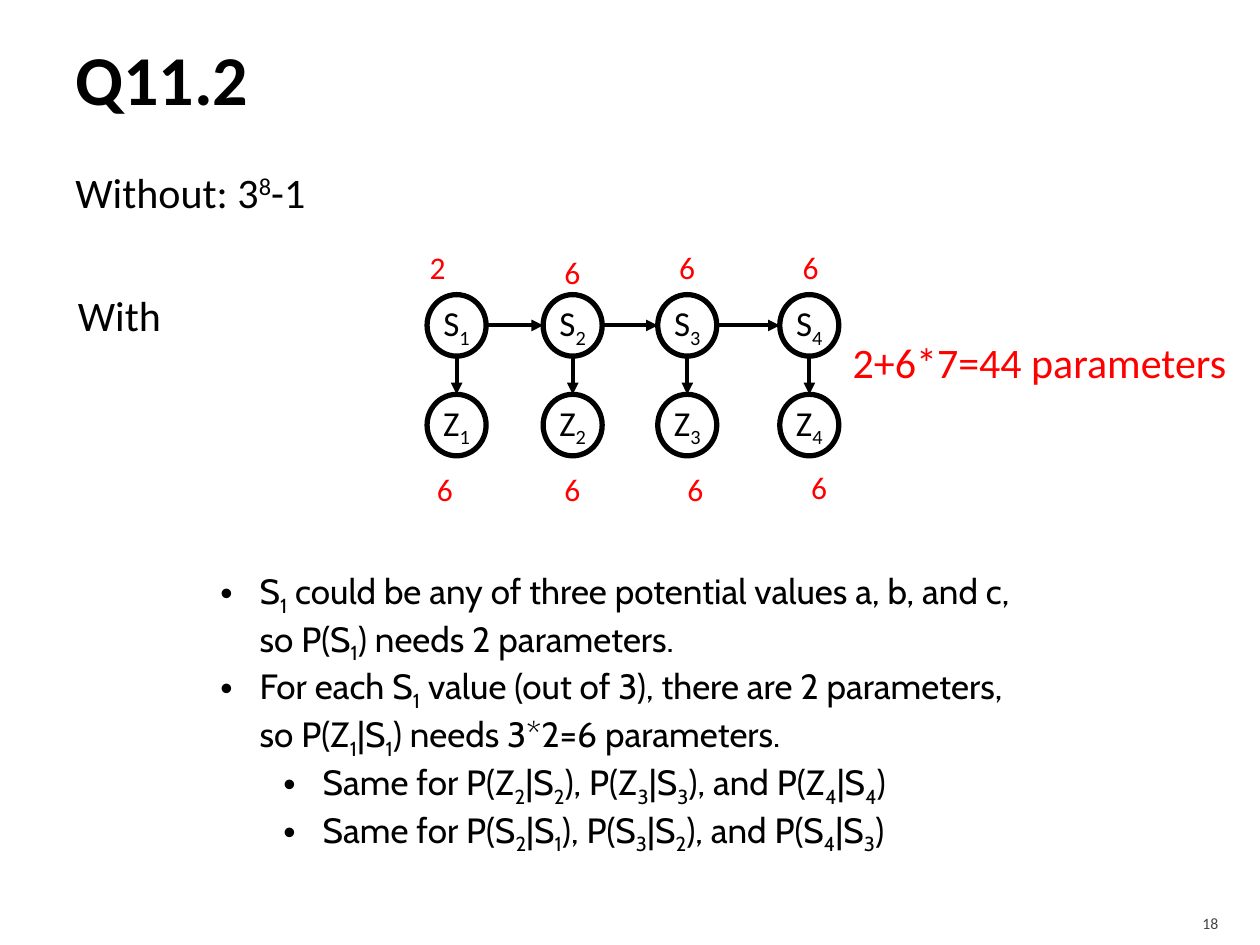
from dataclasses import dataclass
from typing import Iterator

from lxml import etree
from pptx import Presentation
from pptx import util as u
from pptx.dml.color import RGBColor
from pptx.enum import shapes, text
from pptx.oxml.ns import qn

Cm = u.Cm


@dataclass(frozen=True)
class Theme:
    ink: str = "000000"
    accent: str = "FF0000"
    muted: str = "454545"
    font: str = "Calibri"
    list_font: str = "Cabin"
    title: int = 40
    text: int = 24
    node: int = 20
    count: int = 18
    footer: int = 9
    ring: float = 3
    arrow: float = 2.25


@dataclass(frozen=True)
class Node:
    name: str
    x: float
    y: float
    count: str
    count_x: float
    count_y: float


T = Theme()
NODE_W, NODE_H = 1.19, 1.24
COLUMNS = (8.61, 10.95, 13.26, 15.72)
STATE_Y, OBSERVED_Y = 5.94, 7.95
STATE_COUNTS = (("2", 8.41, 4.88), ("6", 11.13, 4.98), ("6", 13.44, 4.88), ("6", 15.93, 4.88))
OBSERVED_COUNTS = (("6", 8.56, 9.35), ("6", 11.13, 9.35), ("6", 13.61, 9.35), ("6", 16.1, 9.32))
BULLETS = (
    (0, "S_1 could be any of three potential values a, b, and c, so P(S_1) needs 2 parameters."),
    (0, "For each S_1 value (out of 3), there are 2 parameters, "
        "so P(Z_1|S_1) needs 3*2=6 parameters."),
    (1, "Same for P(Z_2|S_2), P(Z_3|S_3), and P(Z_4|S_4)"),
    (1, "Same for P(S_2|S_1), P(S_3|S_2), and P(S_4|S_3)"),
)


def split_scripts(value: str) -> Iterator[tuple[str, int]]:
    """Yield (text, baseline); "_" lowers and "^" raises the next character."""
    shifts = {"_": -25000, "^": 30000}
    plain, chars = "", iter(value)
    for char in chars:
        if char in shifts:
            yield plain, 0
            yield next(chars), shifts[char]
            plain = ""
        else:
            plain += char
    if plain:
        yield plain, 0


def write(p, value: str, *, size: float, color: str = T.ink, font: str = T.font,
          bold: bool = False, align=text.PP_ALIGN.LEFT) -> None:
    p.alignment = align
    for part, baseline in split_scripts(value):
        r = p.add_run()
        r.text = part
        r.font.size, r.font.name, r.font.bold = u.Pt(size), font, bold
        r.font.color.rgb = RGBColor.from_string(color)
        if baseline:
            r.font._element.set("baseline", str(baseline))


def add_label(s, value: str, x: float, y: float, w: float, h: float, **fmt) -> None:
    tf = s.shapes.add_textbox(Cm(x), Cm(y), Cm(w), Cm(h)).text_frame
    tf.word_wrap = False
    write(tf.paragraphs[0], value, **fmt)


def add_node(s, node: Node) -> None:
    sp = s.shapes.add_shape(shapes.MSO_SHAPE.OVAL, Cm(node.x), Cm(node.y), Cm(NODE_W), Cm(NODE_H))
    sp.shadow.inherit = False
    sp.fill.background()
    sp.line.color.rgb = RGBColor.from_string(T.ink)
    sp.line.width = u.Pt(T.ring)
    tf = sp.text_frame
    tf.margin_left = tf.margin_right = tf.margin_top = tf.margin_bottom = 0
    tf.vertical_anchor = text.MSO_ANCHOR.MIDDLE
    tf.word_wrap = False
    write(tf.paragraphs[0], node.name, size=T.node, align=text.PP_ALIGN.CENTER)
    add_label(s, node.count, node.count_x, node.count_y, 0.84, 1.02, size=T.count, color=T.accent)


def add_arrow(s, x1: float, y1: float, x2: float, y2: float) -> None:
    c = s.shapes.add_connector(shapes.MSO_CONNECTOR.STRAIGHT, Cm(x1), Cm(y1), Cm(x2), Cm(y2))
    c.line.color.rgb = RGBColor.from_string(T.ink)
    c.line.width = u.Pt(T.arrow)
    etree.SubElement(c.line._get_or_add_ln(), qn("a:tailEnd"), type="triangle")
    etree.SubElement(c._element.spPr, qn("a:effectLst"))


def add_bullet(p, level: int, value: str) -> None:
    p.level = level
    pPr = p._p.get_or_add_pPr()
    pPr.set("marL", str(Cm(0.79 + 1.27 * level)))
    pPr.set("indent", str(-Cm(0.79)))
    etree.SubElement(pPr, qn("a:buFont"), typeface="Arial")
    etree.SubElement(pPr, qn("a:buChar"), char="•")
    p.space_before = u.Pt(0)
    write(p, value, size=T.node, font=T.list_font)


def place(sp, x: float, y: float, w: float, h: float) -> None:
    sp.left, sp.top, sp.width, sp.height = Cm(x), Cm(y), Cm(w), Cm(h)


def add_network(s) -> None:
    states = [Node(f"S_{i}", x, STATE_Y, *count)
              for i, (x, count) in enumerate(zip(COLUMNS, STATE_COUNTS), 1)]
    observed = [Node(f"Z_{i}", x, OBSERVED_Y, *count)
                for i, (x, count) in enumerate(zip(COLUMNS, OBSERVED_COUNTS), 1)]
    for node in states + observed:
        add_node(s, node)
    middle = STATE_Y + NODE_H / 2
    for a, b in zip(states, states[1:]):
        add_arrow(s, a.x + NODE_W, middle, b.x, middle)
    for a, b in zip(states, observed):
        center = a.x + NODE_W / 2
        add_arrow(s, center, a.y + NODE_H, center, b.y)


def main() -> None:
    prs = Presentation()
    prs.slide_width, prs.slide_height = Cm(25.4), Cm(19.05)
    s = prs.slides.add_slide(prs.slide_layouts[1])

    title, body = s.placeholders
    place(title, 1.27, 0.2, 22.86, 2.74)
    title.text_frame.vertical_anchor = text.MSO_ANCHOR.MIDDLE
    write(title.text_frame.paragraphs[0], "Q11.2", size=T.title, bold=True)

    place(body, 4.19, 11.35, 16.97, 5.38)
    tf = body.text_frame
    tf.word_wrap = True
    tf.auto_size = text.MSO_AUTO_SIZE.NONE
    for i, (level, value) in enumerate(BULLETS):
        add_bullet(tf.add_paragraph() if i else tf.paragraphs[0], level, value)

    add_label(s, "Without: 3^8-1", 1.27, 3.23, 5.23, 1.27, size=T.text)
    add_label(s, "With", 1.32, 5.72, 2.21, 1.27, size=T.text)
    add_network(s)
    add_label(s, "2+6*7=44 parameters", 16.94, 6.65, 8.13, 1.27, size=T.text, color=T.accent)
    add_label(s, "18", 22.78, 18.3, 2.03, 0.76, size=T.footer, color=T.muted,
              align=text.PP_ALIGN.RIGHT)
    prs.save("out.pptx")


if __name__ == "__main__":
    main()
